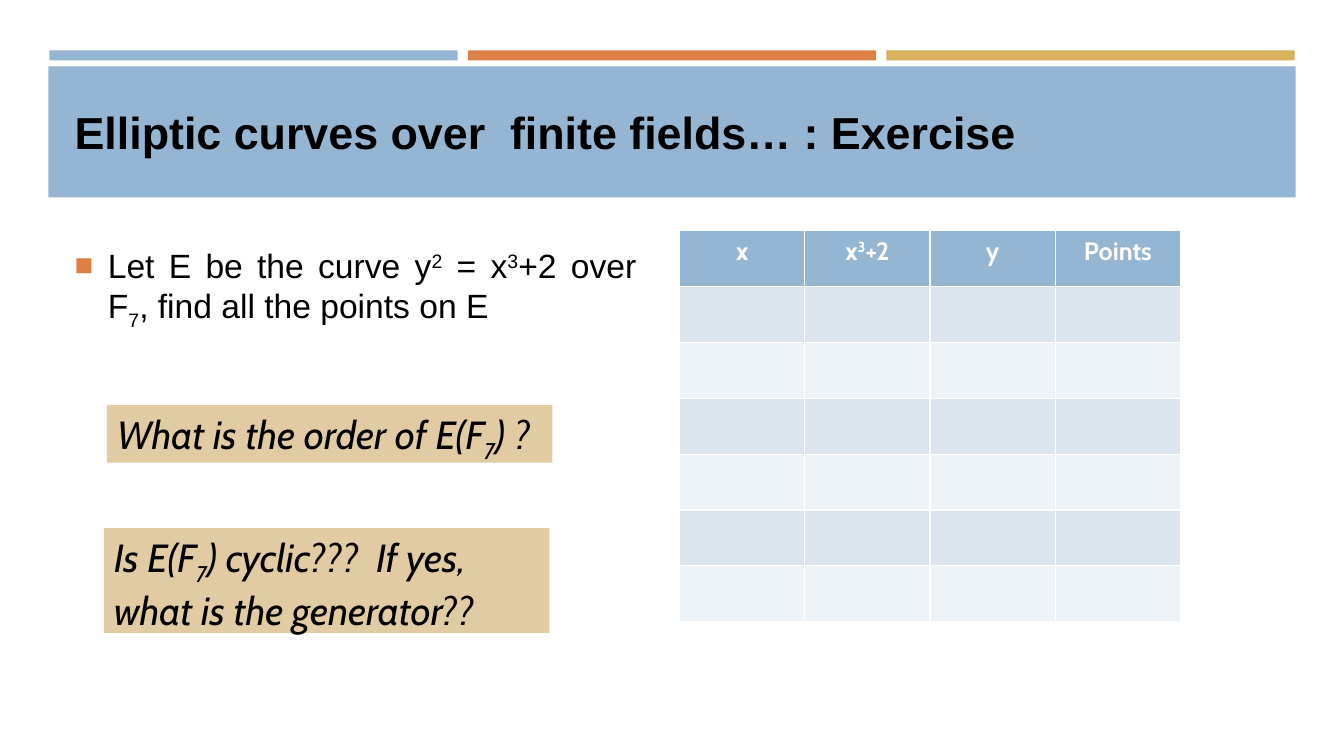
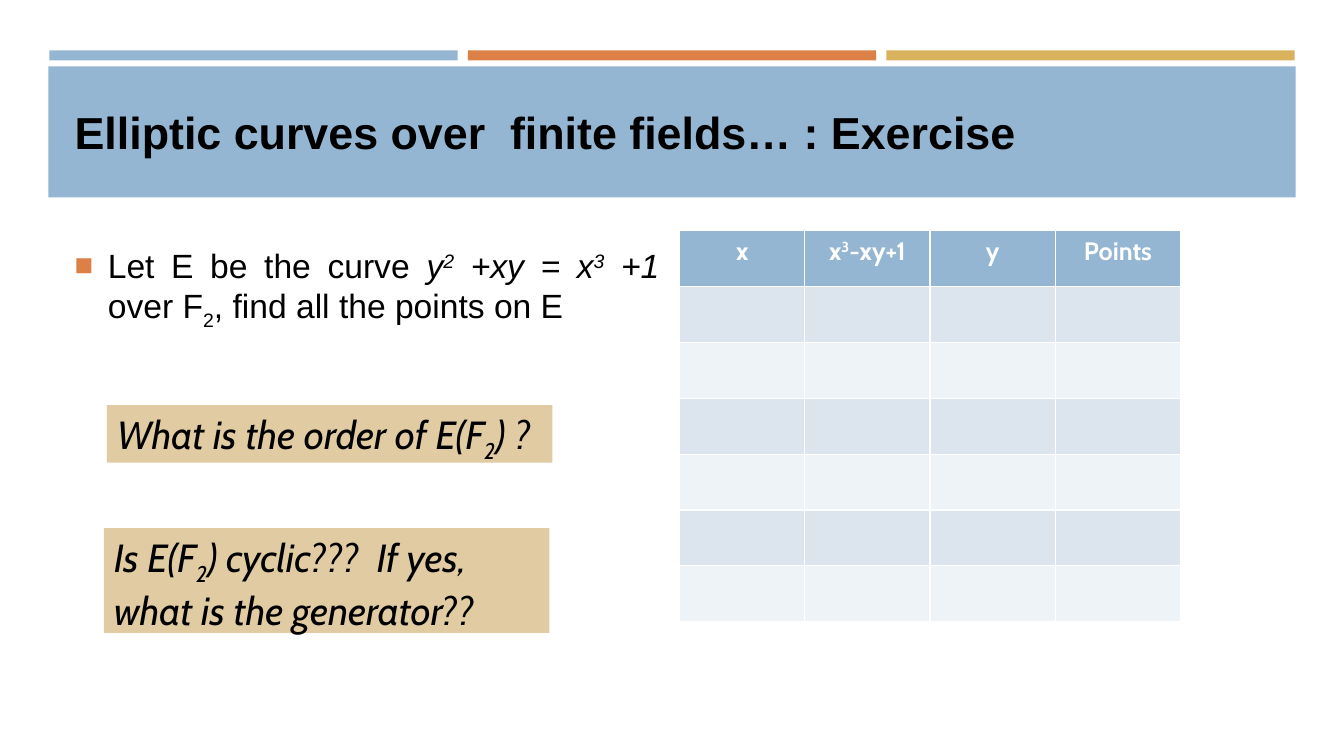
from dataclasses import dataclass

from lxml import etree
from pptx import Presentation
from pptx.dml.color import RGBColor
from pptx.enum import shapes, text
from pptx.oxml import ns
from pptx.util import Inches, Pt


@dataclass(frozen=True)
class Theme:
    """Colours, fonts and type sizes shared by the slides."""
    blue: RGBColor = RGBColor.from_string("94B6D2")
    orange: RGBColor = RGBColor.from_string("DD8047")
    gold: RGBColor = RGBColor.from_string("D8B25C")
    sand: RGBColor = RGBColor.from_string("E0CBA3")
    dark_row: RGBColor = RGBColor.from_string("DCE5EE")
    light_row: RGBColor = RGBColor.from_string("EEF3F7")
    black: RGBColor = RGBColor.from_string("000000")
    white: RGBColor = RGBColor.from_string("FFFFFF")
    main_font: str = "Arial"
    accent_font: str = "Cabin"
    title_size: Pt = Pt(32)
    body_size: Pt = Pt(24)
    question_size: Pt = Pt(28)
    table_size: Pt = Pt(18)


theme = Theme()


def add_box(slide, left, top, width, height, color):
    """Add a plain filled rectangle, placed in inches."""
    box = slide.shapes.add_shape(shapes.MSO_SHAPE.RECTANGLE, Inches(left), Inches(top),
                                 Inches(width), Inches(height))
    box.shadow.inherit = False
    box.fill.solid()
    box.fill.fore_color.rgb = color
    box.line.fill.background()
    return box


def write(paragraph, markup, font_name, size, color, alignment):
    """Write runs split at |; a leading / means italic, ^ raised, _ lowered."""
    paragraph.alignment = alignment
    paragraph.font.name = font_name
    paragraph.font.size = size
    paragraph.font.color.rgb = color
    for piece in markup.split("|"):
        run = paragraph.add_run()
        if piece.startswith("/"):
            run.font.italic = True
            piece = piece[1:]
        if piece[0] in "^_":
            baseline = "30000" if piece[0] == "^" else "-25000"
            run._r.get_or_add_rPr().set("baseline", baseline)
            piece = piece[1:]
        run.text = piece


left_align, center, justify = (text.PP_ALIGN.LEFT, text.PP_ALIGN.CENTER, text.PP_ALIGN.JUSTIFY)

exercises = [
    {"task": "Let E be the curve y|^2| = x|^3|+2 over F|_7|, find all the points on E",
     "task_width": 5.77, "field": "7", "formula": "x|^3|+2"},
    {"task": "Let E be the curve |/y|/^2|/ +xy = x|/^3|/ +1 |over F|_2|, find all the points on E",
     "task_width": 6, "field": "2", "formula": "x|^3|-xy+1"},
]

presentation = Presentation()
presentation.slide_width = Inches(13.33)
presentation.slide_height = Inches(7.5)
layout = presentation.slide_layouts[1]
slides = [presentation.slides.add_slide(layout) for exercise in exercises]

# The bars and the title band belong to the layout
bands = [add_box(slides[0], 0.49 + 4.15 * index, 0.5, 4.05, 0.1, color)
         for index, color in enumerate((theme.blue, theme.orange, theme.gold))]
bands.append(add_box(slides[0], 0.48, 0.66, 12.37, 1.3, theme.blue))
for position, band in enumerate(bands, start=2):
    layout.shapes.element.insert(position, band.element)

layout_title = layout.placeholders[0]
layout_title.left, layout_title.top = Inches(0.64), Inches(0.75)
layout_title.width, layout_title.height = Inches(12.06), Inches(1.11)

for slide, exercise in zip(slides, exercises):
    title = slide.shapes.title.text_frame
    title.vertical_anchor = text.MSO_ANCHOR.MIDDLE
    write(title.paragraphs[0], "Elliptic curves over  finite fields… : Exercise",
          theme.main_font, theme.title_size, theme.black, left_align)
    title.paragraphs[0].font.bold = True

    body = slide.placeholders[1]
    body.left, body.top = Inches(0.64), Inches(2.38)
    body.width, body.height = Inches(exercise["task_width"]), Inches(4.02)
    task = body.text_frame.paragraphs[0]
    properties = task._p.get_or_add_pPr()
    properties.set("marL", str(Inches(0.33)))
    properties.set("indent", str(-Inches(0.33)))
    bullet_color = etree.SubElement(properties, ns.qn("a:buClr"))
    etree.SubElement(bullet_color, ns.qn("a:srgbClr"), val=str(theme.orange))
    etree.SubElement(properties, ns.qn("a:buSzPct"), val="92000")
    etree.SubElement(properties, ns.qn("a:buFont"), typeface=theme.main_font)
    etree.SubElement(properties, ns.qn("a:buChar"), char="■")
    task.space_before, task.space_after = Pt(4.8), Pt(1)
    write(task, exercise["task"], theme.main_font, theme.body_size, theme.black, justify)

    headings = ["x", exercise["formula"], "y", "Points"]
    table = slide.shapes.add_table(7, len(headings), Inches(6.74), Inches(2.29),
                                   Inches(4.97), Inches(3.88)).table
    for row_index, row in enumerate(table.rows):
        for column_index, cell in enumerate(row.cells):
            cell.fill.solid()
            if row_index == 0:
                cell.fill.fore_color.rgb = theme.blue
                heading = cell.text_frame.paragraphs[0]
                write(heading, headings[column_index], theme.accent_font,
                      theme.table_size, theme.white, center)
                heading.font.bold = True
            else:
                cell.fill.fore_color.rgb = theme.dark_row if row_index % 2 else theme.light_row

    field = exercise["field"]
    questions = [
        (1.06, 4.02, 0.57, f"What is the order of E(F|_{field}|) ?"),
        (1.03, 5.24, 1.04, f"Is E(F|_{field}|) cyclic???  If yes, what is the generator??"),
    ]
    for left, top, height, question in questions:
        frame = add_box(slide, left, top, 4.42, height, theme.sand).text_frame
        frame.word_wrap = True
        frame.auto_size = text.MSO_AUTO_SIZE.SHAPE_TO_FIT_TEXT
        frame.vertical_anchor = text.MSO_ANCHOR.TOP
        write(frame.paragraphs[0], question, theme.accent_font, theme.question_size,
              theme.black, left_align)
        frame.paragraphs[0].font.italic = True

presentation.save("out.pptx")
